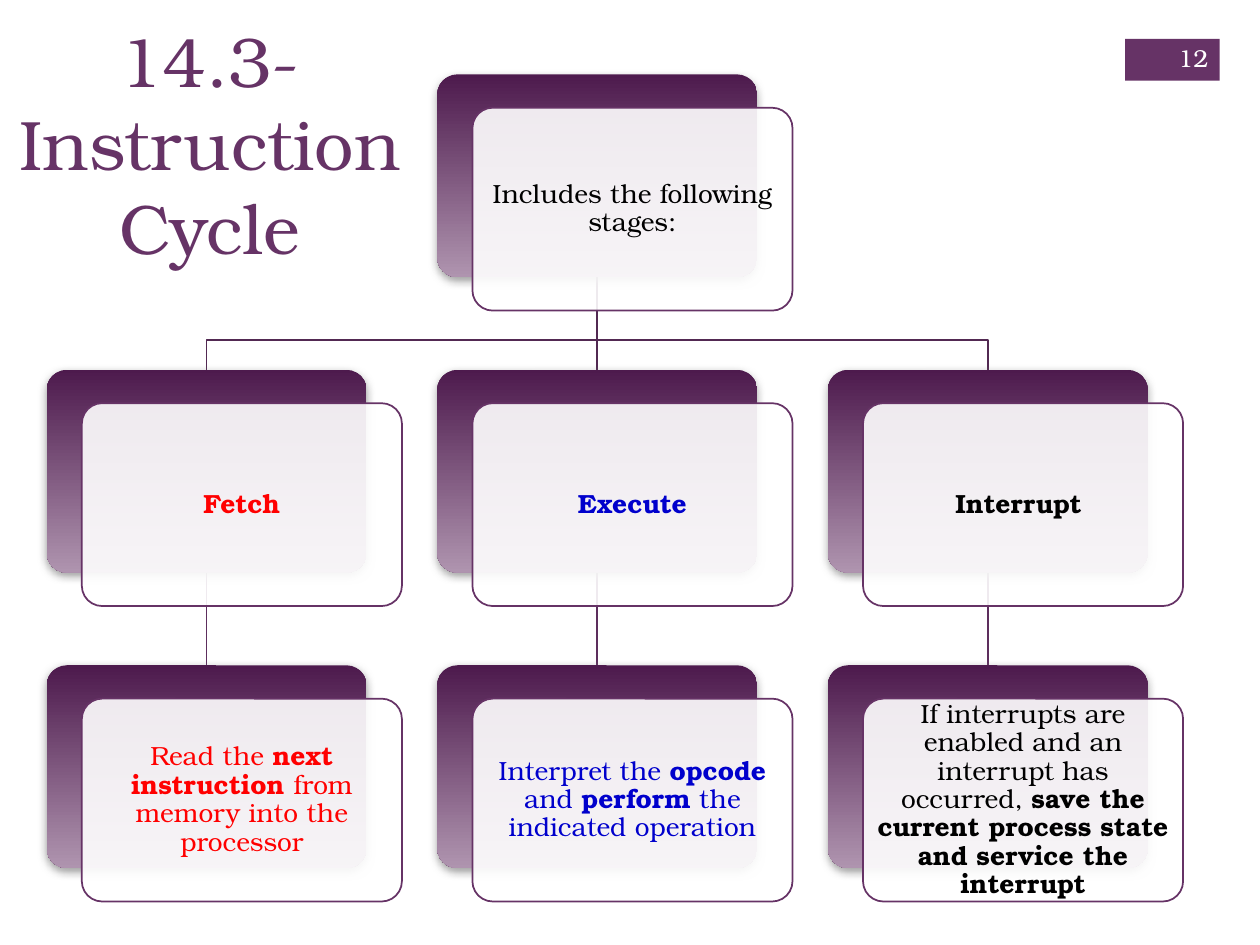
from dataclasses import dataclass

from lxml import etree
from pptx import Presentation, util as u
from pptx.dml.color import RGBColor
from pptx.enum import shapes, text
from pptx.oxml.ns import qn

INCH = u.Inches


@dataclass(frozen=True)
class Theme:
    """Hold the colours, font and type sizes."""
    font: str = "TeX Gyre Bonum"
    plum: str = "663366"
    deep: str = "4D1A4D"
    pale: str = "AF94AF"
    stem: str = "522952"
    twig: str = "5D2E5D"
    white: str = "FFFFFF"
    black: str = "000000"
    red: str = "FF0000"
    blue: str = "0000CC"
    shade: str = "808080"
    head: int = 40
    body: int = 15
    page: int = 14


@dataclass(frozen=True)
class Grid:
    """Turn columns and rows into card boxes."""
    left: float = 0.37
    top: float = 0.59
    col: float = 3.1
    row: float = 2.345
    wide: float = 2.54
    high: float = 1.61

    def box(self, col, row):
        """Give the box of the back plate in a cell."""
        return (self.left + col * self.col, self.top + row * self.row,
                self.wide, self.high)


T = Theme()
G = Grid()
MID = text.MSO_ANCHOR.MIDDLE
ALIGN = text.PP_ALIGN
CARDS = (
    (1, 0, T.black, (("Includes the following stages:", False),)),
    (0, 1, T.red, (("Fetch", True),)),
    (0, 2, T.red, (("Read the ", False), ("next instruction ", True),
                   ("from memory into the processor", False))),
    (1, 1, T.blue, (("Execute", True),)),
    (1, 2, T.blue, (("Interpret the ", False), ("opcode ", True), ("and ", False),
                    ("perform", True), (" the indicated operation", False))),
    (2, 1, T.black, (("Interrupt ", True),)),
    (2, 2, T.black, (
        ("If interrupts are enabled and an interrupt has occurred, ", False),
        ("save the current process state and service the interrupt", True))),
)


def rgb(hue):
    """Read a colour from its hex value."""
    return RGBColor.from_string(hue)


def apply(item, vals):
    """Set each named value on an object."""
    for name, val in vals.items():
        setattr(item, name, val)


def ink(line, hue):
    """Draw a line one point wide."""
    line.color.rgb = rgb(hue)
    line.width = u.Pt(1)


def write(shape, runs, hue, size, pad=(0.1, 0.05), align=ALIGN.CENTER, lead=1.0):
    """Fill a shape with one paragraph of plain and bold runs."""
    frame = shape.text_frame
    wide, high = map(INCH, pad)
    apply(frame, {"word_wrap": True, "vertical_anchor": MID,
                  "margin_left": wide, "margin_right": wide,
                  "margin_top": high, "margin_bottom": high})
    para = frame.paragraphs[0]
    apply(para, {"alignment": align, "line_spacing": lead})
    for words, bold in runs:
        run = para.add_run()
        run.text = words
        apply(run.font, {"name": T.font, "size": u.Pt(size), "bold": bold})
        run.font.color.rgb = rgb(hue)


def plate(slide, box, kind=shapes.MSO_SHAPE.ROUNDED_RECTANGLE):
    """Add a bare plate without a shadow."""
    shape = slide.shapes.add_shape(kind, *map(INCH, box))
    shape.shadow.inherit = False
    return shape


def shade(shape):
    """Cast a soft shadow below a shape."""
    effect = shape.element.spPr.find(qn("a:effectLst"))
    outer = etree.SubElement(effect, qn("a:outerShdw"), blurRad=str(u.Pt(5)),
                             dist=str(u.Pt(2)), dir="5400000", rotWithShape="0")
    hue = etree.SubElement(outer, qn("a:srgbClr"), val=T.shade)
    etree.SubElement(hue, qn("a:alpha"), val="75000")


def card(slide, box, runs, hue):
    """Place a gradient plate and the sheer text plate over it."""
    left, top, wide, high = box
    back = plate(slide, box)
    back.line.fill.background()
    back.fill.gradient()
    back.fill.gradient_angle = 270
    for stop, tone, pos in zip(back.fill.gradient_stops, (T.deep, T.pale), (0, 1)):
        stop.color.rgb = rgb(tone)
        stop.position = pos
    shade(back)
    front = plate(slide, (left + 0.28, top + 0.265, wide, high))
    front.fill.solid()
    front.fill.fore_color.rgb = rgb(T.white)
    tone = front.element.spPr.find(qn("a:solidFill"))[0]
    etree.SubElement(tone, qn("a:alpha"), val="90000")
    ink(front.line, T.plum)
    for shape in (back, front):
        shape.adjustments[0] = 0.1
    write(front, runs, hue, T.body, pad=(0.06, 0.06), lead=0.9)


def drop(slide, box, gap, hue):
    """Run a straight line from a card down to the next row."""
    left, top, wide, high = box
    mid, base = left + wide / 2, top + high
    line = slide.shapes.add_connector(
        shapes.MSO_CONNECTOR.STRAIGHT, *map(INCH, (mid, base, mid, base + gap)))
    ink(line.line, hue)
    etree.SubElement(line.element.spPr, qn("a:effectLst"))


def bend(slide, box, gap, shift):
    """Run a bent line from a card to a neighbour column below."""
    left, top, wide, high = box
    mid, base = left + wide / 2, top + high
    turn = base + gap * 0.68
    pen = slide.shapes.build_freeform(INCH(mid), INCH(base))
    pen.add_line_segments([(INCH(x), INCH(y)) for x, y in (
        (mid, turn), (mid + shift, turn), (mid + shift, base + gap))], close=False)
    line = pen.convert_to_shape()
    line.shadow.inherit = False
    line.fill.background()
    ink(line.line, T.stem)


def tree(slide, grid):
    """Place the lines and then the cards on the grid."""
    gap = grid.row - grid.high
    root = grid.box(1, 0)
    for col in (2, 1, 0):
        drop(slide, grid.box(col, 1), gap, T.twig)
        if col == 1:
            drop(slide, root, gap, T.stem)
        else:
            bend(slide, root, gap, (col - 1) * grid.col)
    for col, row, hue, runs in CARDS:
        card(slide, grid.box(col, row), runs, hue)


def title(slide, box):
    """Place the slide title."""
    shape = slide.shapes.add_textbox(*map(INCH, box))
    write(shape, (("14.3-Instruction Cycle", False),), T.plum, T.head)


def badge(slide, box):
    """Place the page number on its plum block."""
    left, top, wide, high = box
    block = plate(slide, box, shapes.MSO_SHAPE.RECTANGLE)
    block.fill.solid()
    block.fill.fore_color.rgb = rgb(T.plum)
    block.line.fill.background()
    label = slide.shapes.add_textbox(
        *map(INCH, (left + 0.15, top - 0.05, wide - 0.14, high + 0.07)))
    write(label, (("12", False),), T.white, T.page, align=ALIGN.RIGHT)


def main():
    """Build and save the slide."""
    deck = Presentation()
    apply(deck, {"slide_width": INCH(10), "slide_height": INCH(7.5)})
    slide = deck.slides.add_slide(deck.slide_layouts[6])
    badge(slide, (8.93, 0.31, 0.75, 0.33))
    tree(slide, G)
    title(slide, (0.05, 0.08, 3.23, 2.11))
    deck.save("out.pptx")


if __name__ == "__main__":
    main()
